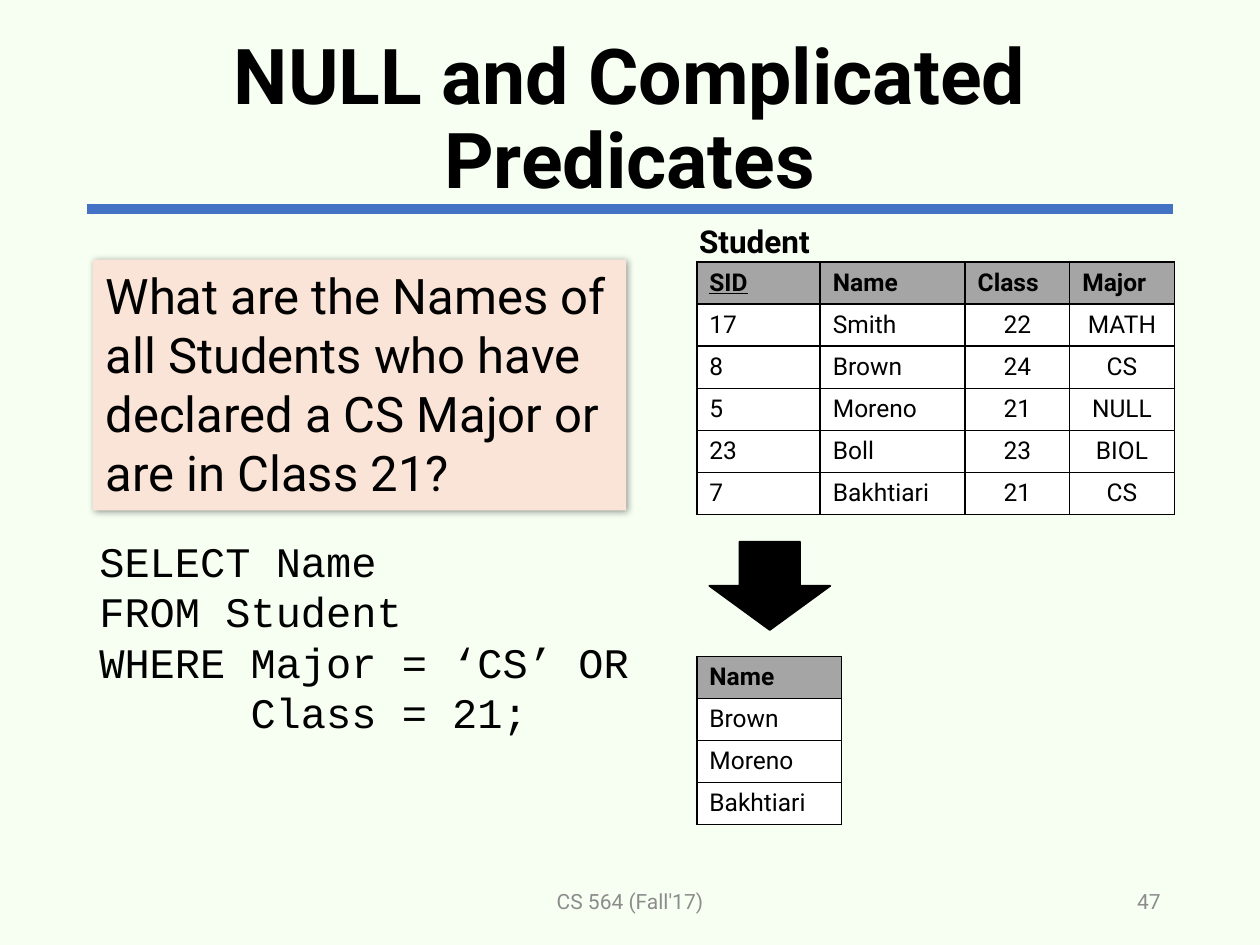
import pptx
import pptx.dml.color
import pptx.enum.shapes
import pptx.enum.text
import pptx.oxml
import pptx.oxml.ns
import pptx.util
from lxml import etree
from pptx.util import Inches

RGBColor = pptx.dml.color.RGBColor
ALIGN = pptx.enum.text.PP_ALIGN
ANCHOR = pptx.enum.text.MSO_ANCHOR
SHAPE = pptx.enum.shapes.MSO_SHAPE

BACKGROUND = RGBColor(0xF7, 0xFF, 0xF3)
BLACK = RGBColor(0, 0, 0)
WHITE = RGBColor(255, 255, 255)
BLUE = RGBColor(0x44, 0x72, 0xC4)
PEACH = RGBColor(0xFA, 0xE4, 0xD7)
HEADER_GRAY = RGBColor(0xA5, 0xA5, 0xA5)
FOOTER_GRAY = RGBColor(0x8C, 0x8C, 0x8C)

STUDENTS = [
    ("SID", "Name", "Class", "Major"),
    ("17", "Smith", "22", "MATH"),
    ("8", "Brown", "24", "CS"),
    ("5", "Moreno", "21", "NULL"),
    ("23", "Boll", "23", "BIOL"),
    ("7", "Bakhtiari", "21", "CS"),
]
RESULT = [("Name",), ("Brown",), ("Moreno",), ("Bakhtiari",)]
CODE_INDENT = 1.2
QUERY = [
    ("SELECT Name", 0),
    ("FROM Student", 0),
    ("WHERE Major = ‘CS’ OR", 0),
    ("Class = 21;", CODE_INDENT),
]


def write(para, text, size, align=ALIGN.LEFT, color=BLACK, **formats):
    """Put one formatted run into the paragraph."""
    para.alignment = align
    span = para.add_run()
    span.text = text
    span.font.color.rgb = color
    values = {"name": "Roboto", "size": pptx.util.Pt(size), **formats}
    for name, value in values.items():
        setattr(span.font, name, value)


def add_text_box(page, box, anchor=ANCHOR.TOP, wrap=True):
    frame = page.shapes.add_textbox(*map(Inches, box)).text_frame
    frame.word_wrap = wrap
    frame.vertical_anchor = anchor
    return frame


def add_title(page, box):
    """Place the title and the blue rule that underlines it."""
    left, top, width, height = box
    rule_top = top + height - 0.03
    rule = page.shapes.add_connector(
        pptx.enum.shapes.MSO_CONNECTOR.STRAIGHT,
        Inches(left), Inches(rule_top), Inches(left + width), Inches(rule_top))
    rule.line.color.rgb = BLUE
    rule.line.width = pptx.util.Pt(6)
    etree.SubElement(rule._element.spPr, pptx.oxml.ns.qn("a:effectLst"))

    title = page.shapes.title
    for name, value in zip(("left", "top", "width", "height"), box):
        setattr(title, name, Inches(value))
    frame = title.text_frame
    frame.word_wrap = True
    frame.auto_size = pptx.enum.text.MSO_AUTO_SIZE.NONE
    frame.vertical_anchor = ANCHOR.MIDDLE
    para = frame.paragraphs[0]
    para.line_spacing = 0.9
    write(para, "NULL and Complicated Predicates", 44, ALIGN.CENTER, bold=True)


def add_soft_shadow(shape):
    shape.shadow.inherit = False
    effects = shape._element.spPr.find(pptx.oxml.ns.qn("a:effectLst"))
    effects.append(pptx.oxml.parse_xml(
        f'<a:outerShdw {pptx.oxml.ns.nsdecls("a")} blurRad="50800" dist="12700" '
        'dir="2700000" algn="tl" rotWithShape="0"><a:srgbClr val="000000">'
        '<a:alpha val="40000"/></a:srgbClr></a:outerShdw>'))


def add_question(page, box):
    card = page.shapes.add_shape(SHAPE.RECTANGLE, *map(Inches, box))
    card.fill.solid()
    card.fill.fore_color.rgb = PEACH
    card.line.fill.background()
    add_soft_shadow(card)
    frame = card.text_frame
    frame.word_wrap = True
    frame.vertical_anchor = ANCHOR.TOP
    write(frame.paragraphs[0], "What are the Names of all Students who have "
          "declared a CS Major or are in Class 21?", 28)


def add_query(page, box):
    frame = add_text_box(page, box)
    for index, (text, indent) in enumerate(QUERY):
        para = frame.add_paragraph() if index else frame.paragraphs[0]
        if indent:
            para._p.get_or_add_pPr().set("marL", str(Inches(indent)))
        write(para, text, 24, name="Courier New")


def set_borders(cell):
    """Draw a thin black line on all four sides of the cell."""
    properties = cell._tc.get_or_add_tcPr()
    for index, side in enumerate(("lnL", "lnR", "lnT", "lnB")):
        properties.insert(index, pptx.oxml.parse_xml(
            f'<a:{side} {pptx.oxml.ns.nsdecls("a")} w="12700"><a:solidFill>'
            f'<a:srgbClr val="{BLACK}"/></a:solidFill></a:{side}>'))


def add_relation(page, box, rows, widths, key=None, centered=()):
    """Place a table with a gray header; the key column's name is underlined."""
    table = page.shapes.add_table(
        len(rows), len(widths), *map(Inches, box)).table
    for column, width in zip(table.columns, widths):
        column.width = Inches(width)
    for row_index, values in enumerate(rows):
        header = row_index == 0
        table.rows[row_index].height = Inches(box[3] / len(rows))
        for column_index, value in enumerate(values):
            cell = table.cell(row_index, column_index)
            cell.fill.solid()
            cell.fill.fore_color.rgb = HEADER_GRAY if header else WHITE
            set_borders(cell)
            middle = values is not rows[0] and rows[0][column_index] in centered
            write(cell.text_frame.paragraphs[0], value, 14,
                  ALIGN.CENTER if middle else ALIGN.LEFT,
                  bold=header, underline=header and value == key)


def add_data(page, box):
    """Place the Student relation, the arrow and the query result in a column."""
    left, top, width, height = box
    label = add_text_box(page, (left - 0.08, top, 1.08, 0.4), wrap=False)
    write(label.paragraphs[0], "Student", 18, bold=True)
    add_relation(page, (left, top + 0.37, width, 2), STUDENTS,
                 (0.98, 1.15, 0.83, 0.83), "SID", ("Class", "Major"))

    arrow = page.shapes.add_shape(
        SHAPE.DOWN_ARROW, Inches(left + 0.1), Inches(top + 2.59),
        Inches(0.96), Inches(0.7))
    arrow.shadow.inherit = False
    arrow.fill.solid()
    arrow.fill.fore_color.rgb = BLACK
    arrow.line.color.rgb = BLACK
    arrow.line.width = pptx.util.Pt(1)

    result_height = 1.33
    add_relation(page, (left, top + height - result_height, 1.15, result_height),
                 RESULT, (1.15,))


def add_footer(page, box):
    left, top, width, height = box
    parts = (("CS 564 (Fall'17)", 2.62, 3.38, ALIGN.CENTER),
             ("47", width - 2.25, 2.25, ALIGN.RIGHT))
    for text, offset, part_width, align in parts:
        frame = add_text_box(
            page, (left + offset, top, part_width, height), ANCHOR.MIDDLE)
        write(frame.paragraphs[0], text, 12, align, FOOTER_GRAY)


def main():
    deck = pptx.Presentation()
    deck.slide_width, deck.slide_height = Inches(10), Inches(7.5)
    page = deck.slides.add_slide(deck.slide_layouts.get_by_name("Title Only"))
    page.background.fill.solid()
    page.background.fill.fore_color.rgb = BACKGROUND
    add_title(page, (0.69, 0.24, 8.62, 1.45))
    add_question(page, (0.74, 2.06, 4.23, 1.99))
    add_query(page, (0.69, 4.2, 4.47, 1.79))
    add_data(page, (5.53, 1.71, 3.79, 4.83))
    add_footer(page, (0.69, 6.95, 8.62, 0.4))
    deck.save("out.pptx")


if __name__ == "__main__":
    main()
